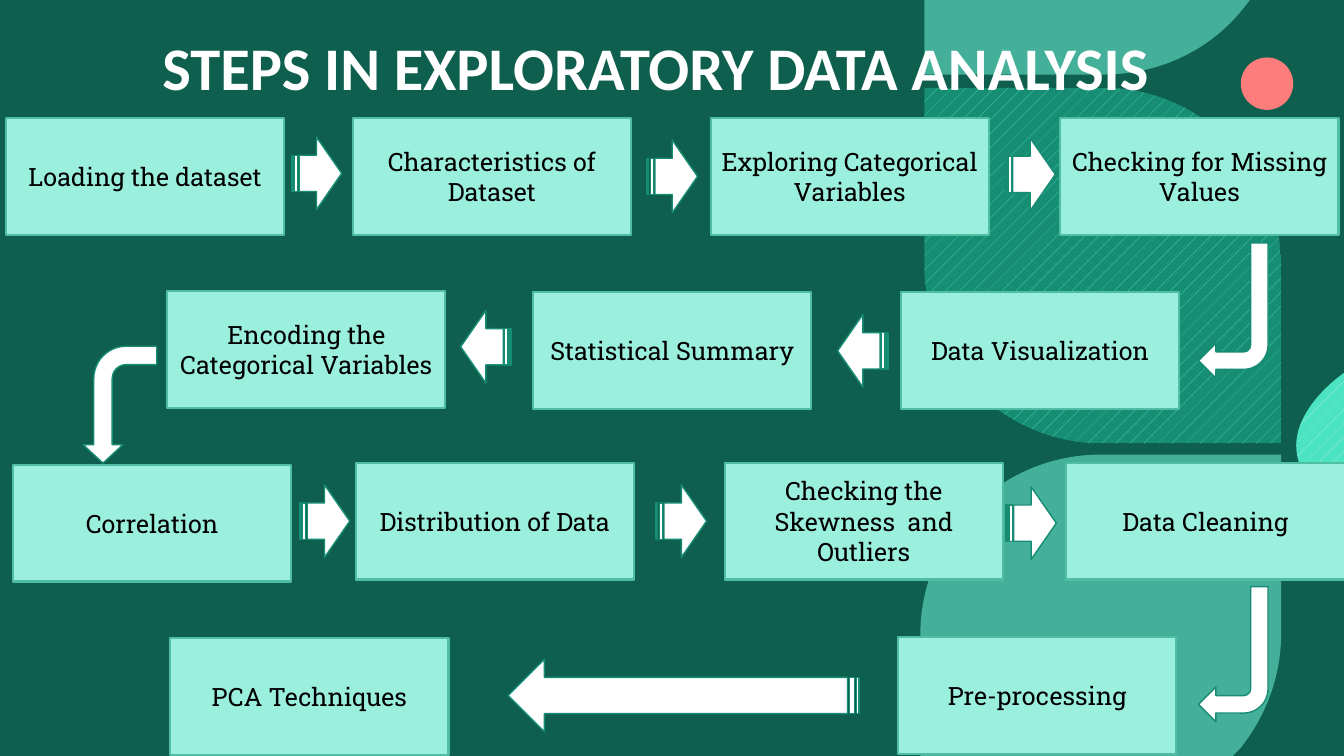
from dataclasses import dataclass
from typing import Optional

import lxml.etree
import pptx
import pptx.dml.color
import pptx.enum.dml
import pptx.enum.shapes
import pptx.enum.text
import pptx.oxml.ns
import pptx.util
from pptx.util import Inches

SHAPES = pptx.enum.shapes.MSO_SHAPE
ANCHOR = pptx.enum.text.MSO_ANCHOR
qn = pptx.oxml.ns.qn


@dataclass(frozen=True)
class Theme:
    background: str = "09392F"
    veil: str = "18997E"
    coral: str = "FD7C7C"
    mint: str = "69E7CC"
    aqua: str = "4BE3C2"
    pale_aqua: str = "C3F6EB"
    leaf: str = "178E74"
    step_fill: str = "9BEFDD"
    step_line: str = "50BEA3"
    arrow_line: str = "168D73"
    white: str = "FFFFFF"
    black: str = "000000"
    title_font: str = "Calibri"
    step_font: str = "Roboto Slab"
    title_size: float = 43.2
    step_size: float = 18
    step_border: float = 1.5
    arrow_border: float = 1


@dataclass(frozen=True)
class Petal:
    """Closed outline: 2-number segments are lines, 6-number ones are cubic curves."""
    start: tuple[float, float]
    segments: tuple[tuple[float, ...], ...]
    color: str
    alpha: int = 100
    hatch: Optional[str] = None


@dataclass(frozen=True)
class Step:
    label: str
    left: float
    top: float


@dataclass(frozen=True)
class Arrow:
    left: float
    top: float
    width: float = 0.5
    height: float = 0.72
    rotation: float = 0
    flipped: bool = False
    bend: tuple[float, ...] = ()


THEME = Theme()
SLIDE_WIDTH, SLIDE_HEIGHT = 40 / 3, 7.5
STEP_WIDTH, STEP_HEIGHT = 2.76, 1.16
DOWN_LEFT_BEND = (0.25, 0.25, 0.25, 0.35)

PETALS = (
    Petal((9.17, 0), ((12.4, 0), (12.33, 0.09), (12.01, 0.49, 11.51, 0.74, 10.95, 0.74),
                      (9.17, 0.74)), THEME.mint, 60),
    Petal((10.92, 4.51), ((12.71, 4.51), (12.71, 6.29), (12.71, 6.72, 12.55, 7.12, 12.3, 7.43),
                          (12.23, 7.5), (9.13, 7.5), (9.13, 6.3),
                          (9.13, 5.31, 9.93, 4.51, 10.92, 4.51)), THEME.mint, 60),
    Petal((SLIDE_WIDTH, 3.7), ((SLIDE_WIDTH, 5.14),
                               (SLIDE_WIDTH, 5.14, 12.86, 4.82, 12.86, 4.42),
                               (12.86, 4.02, SLIDE_WIDTH, 3.7, SLIDE_WIDTH, 3.7)),
          THEME.aqua, hatch=THEME.pale_aqua),
    Petal((12.71, 4.4), ((10.94, 4.4), (9.96, 4.4, 9.17, 3.61, 9.17, 2.63), (9.17, 0.87),
                         (10.94, 0.87), (11.91, 0.87, 12.71, 1.66, 12.71, 2.64), (12.71, 4.4)),
          THEME.leaf, hatch=THEME.aqua),
)

STEPS = (
    Step("Loading the dataset", 0.06, 1.17),
    Step("Characteristics of Dataset", 3.5, 1.17),
    Step("Exploring Categorical Variables", 7.05, 1.17),
    Step("Checking for Missing Values", 10.52, 1.17),
    Step("Data Visualization", 8.94, 2.9),
    Step("Statistical Summary", 5.29, 2.9),
    Step("Encoding the Categorical Variables", 1.66, 2.89),
    Step("Correlation", 0.13, 4.61),
    Step("Distribution of Data", 3.53, 4.59),
    Step("Checking the Skewness  and Outliers", 7.19, 4.59),
    Step("Data Cleaning", 10.58, 4.59),
    Step("Pre-processing", 8.91, 6.32),
    Step("PCA Techniques", 1.69, 6.33),
)

ARROWS = (
    Arrow(2.89, 1.36),
    Arrow(6.42, 1.39),
    Arrow(9.97, 1.37),
    Arrow(11.89, 2.41, 0.69, 1.34, rotation=180, bend=DOWN_LEFT_BEND),
    Arrow(8.31, 3.12, rotation=180),
    Arrow(4.57, 3.08, rotation=180),
    Arrow(0.61, 3.65, 1.16, 0.73, rotation=90, flipped=True, bend=(0.25, 0.27, 0.25, 0.44)),
    Arrow(2.97, 4.81),
    Arrow(6.51, 4.81),
    Arrow(9.98, 4.83),
    Arrow(11.89, 5.82, 0.69, 1.34, rotation=180, bend=DOWN_LEFT_BEND),
    Arrow(5.04, 6.54, 3.48, rotation=180),
)


def rgb(color: str) -> pptx.dml.color.RGBColor:
    return pptx.dml.color.RGBColor.from_string(color)


def paint(shape, color: str, *, alpha: int = 100, line: Optional[str] = None,
          line_width: float = 1, hatch: Optional[str] = None) -> None:
    shape.shadow.inherit = False
    if hatch:
        shape.fill.patterned()
        shape.fill.pattern = pptx.enum.dml.MSO_PATTERN.PERCENT_5
        shape.fill.fore_color.rgb = rgb(hatch)
        shape.fill.back_color.rgb = rgb(color)
    else:
        shape.fill.solid()
        shape.fill.fore_color.rgb = rgb(color)
    if alpha < 100:
        solid_color = shape.element.spPr.find(f"{qn('a:solidFill')}/{qn('a:srgbClr')}")
        lxml.etree.SubElement(solid_color, qn("a:alpha"), val=str(alpha * 1000))
    if line:
        shape.line.color.rgb = rgb(line)
        shape.line.width = pptx.util.Pt(line_width)
    else:
        shape.line.fill.background()


def add_preset(slide, preset, left: float, top: float, width: float, height: float):
    return slide.shapes.add_shape(preset, Inches(left), Inches(top), Inches(width), Inches(height))


def write(shape, text: str, *, font: str, size: float, color: str, bold: bool = False,
          anchor=ANCHOR.MIDDLE, line_spacing: Optional[float] = None) -> None:
    frame = shape.text_frame
    frame.word_wrap = True
    frame.vertical_anchor = anchor
    paragraph = frame.paragraphs[0]
    paragraph.alignment = pptx.enum.text.PP_ALIGN.CENTER
    paragraph.line_spacing = line_spacing
    run = paragraph.add_run()
    run.text = text
    run.font.name = font
    run.font.size = pptx.util.Pt(size)
    run.font.bold = bold
    run.font.color.rgb = rgb(color)


def draw_petal(slide, petal: Petal) -> None:
    """Lay out every point as a line, then merge each curve's three lines into one Bézier."""
    points = [(Inches(segment[i]), Inches(segment[i + 1]))
              for segment in petal.segments for i in range(0, len(segment), 2)]
    builder = slide.shapes.build_freeform(*map(Inches, petal.start))
    builder.add_line_segments(points, close=True)
    shape = builder.convert_to_shape()
    lines = iter(list(shape.element.iter(qn("a:lnTo"))))
    for segment in petal.segments:
        line = next(lines)
        if len(segment) == 6:
            curve = lxml.etree.Element(qn("a:cubicBezTo"))
            line.addprevious(curve)
            for control in (line, next(lines), next(lines)):
                curve.append(control[0])
                control.getparent().remove(control)
    paint(shape, petal.color, alpha=petal.alpha, hatch=petal.hatch)


def draw_step(slide, step: Step) -> None:
    box = add_preset(slide, SHAPES.RECTANGLE, step.left, step.top, STEP_WIDTH, STEP_HEIGHT)
    paint(box, THEME.step_fill, line=THEME.step_line, line_width=THEME.step_border)
    write(box, step.label, font=THEME.step_font, size=THEME.step_size, color=THEME.black)


def draw_arrow(slide, arrow: Arrow) -> None:
    preset = SHAPES.BENT_ARROW if arrow.bend else SHAPES.STRIPED_RIGHT_ARROW
    shape = add_preset(slide, preset, arrow.left, arrow.top, arrow.width, arrow.height)
    for index, value in enumerate(arrow.bend):
        shape.adjustments[index] = value
    shape.rotation = arrow.rotation
    if arrow.flipped:
        shape.element.spPr.xfrm.set("flipV", "1")
    paint(shape, THEME.white, line=THEME.arrow_line, line_width=THEME.arrow_border)


def main() -> None:
    deck = pptx.Presentation()
    deck.slide_width, deck.slide_height = Inches(SLIDE_WIDTH), Inches(SLIDE_HEIGHT)
    slide = deck.slides.add_slide(deck.slide_layouts[6])
    slide.background.fill.solid()
    slide.background.fill.fore_color.rgb = rgb(THEME.background)
    paint(add_preset(slide, SHAPES.RECTANGLE, 0, 0, SLIDE_WIDTH, SLIDE_HEIGHT), THEME.veil, alpha=40)
    paint(add_preset(slide, SHAPES.OVAL, 12.31, 0.57, 0.52, 0.52), THEME.coral)
    for petal in PETALS:
        draw_petal(slide, petal)
    title = slide.shapes.add_textbox(Inches(1.05), Inches(0.34), Inches(10.91), Inches(0.72))
    write(title, "STEPS IN EXPLORATORY DATA ANALYSIS", font=THEME.title_font, size=THEME.title_size,
          color=THEME.white, bold=True, anchor=ANCHOR.BOTTOM, line_spacing=0.8)
    for step in STEPS:
        draw_step(slide, step)
    for arrow in ARROWS:
        draw_arrow(slide, arrow)
    deck.save("out.pptx")


if __name__ == "__main__":
    main()
